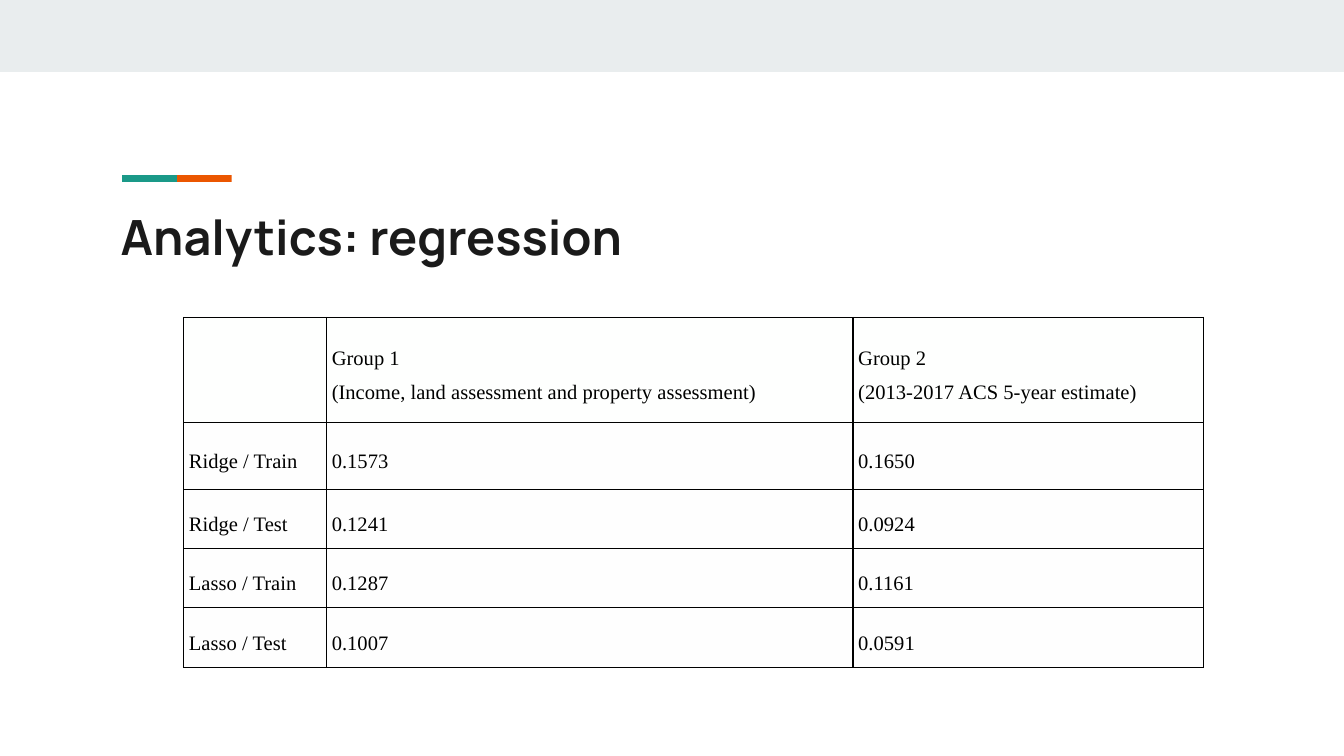
from lxml import etree
from pptx import Presentation
from pptx.dml.color import RGBColor
from pptx.enum.shapes import MSO_SHAPE
from pptx.enum.text import MSO_ANCHOR, MSO_AUTO_SIZE, PP_ALIGN
from pptx.oxml.ns import qn
from pptx.util import Cm, Pt

RECT = MSO_SHAPE.RECTANGLE
TOP, MIDDLE = MSO_ANCHOR.TOP, MSO_ANCHOR.MIDDLE
LEFT, JUSTIFY = PP_ALIGN.LEFT, PP_ALIGN.JUSTIFY
NO_FIT = MSO_AUTO_SIZE.NONE

COLORS = {
    "band": "E9EDEE",
    "teal": "1A9988",
    "orange": "EB5600",
    "title": "1A1A1A",
    "text": "000000",
    "head": "FEFFFE",
    "body": "FEFEFE",
}
COLS = [2.7, 9.95, 6.63]
ROWS = [1.98, 1.27, 1.12, 1.12, 1.12]
SCORES = [
    ["", "Group 1\n(Income, land assessment and property assessment)",
     "Group 2\n(2013-2017 ACS 5-year estimate)"],
    ["Ridge / Train", "0.1573", "0.1650"],
    ["Ridge / Test", "0.1241", "0.0924"],
    ["Lasso / Train", "0.1287", "0.1161"],
    ["Lasso / Test", "0.1007", "0.0591"],
]


def rgb(name):
    return RGBColor.from_string(COLORS[name])


def add_bar(shapes, left, top, width, height, color):
    bar = shapes.add_shape(RECT, Cm(left), Cm(top), Cm(width), Cm(height))
    bar.shadow.inherit = False
    bar.fill.solid()
    bar.fill.fore_color.rgb = rgb(color)
    bar.line.fill.background()
    return bar


def add_accent(slide, left, top):
    group = slide.shapes.add_group_shape()
    thick, long = 0.07, 1.48
    for index, color in ((1, "orange"), (0, "teal")):
        mid = left + long * (index + 0.5)
        bar = add_bar(group.shapes, mid - thick / 2, top + (thick - long) / 2,
                      thick, long, color)
        bar.rotation = 270
    # The group squeezes its bars in length and widens them
    group.left, group.top = Cm(left), Cm(top)
    group.width, group.height = Cm(2.07), Cm(0.13)
    frame = group._element.grpSpPr.find(qn("a:xfrm"))
    start, size = frame.find(qn("a:chOff")), frame.find(qn("a:chExt"))
    start.set("x", str(Cm(left)))
    start.set("y", str(Cm(top)))
    size.set("cx", str(Cm(2 * long)))
    size.set("cy", str(Cm(thick)))


def add_run(para, text, font, size, color, bold=False):
    run = para.add_run()
    run.text = text
    run.font.name = font
    run.font.size = Pt(size)
    run.font.bold = bold
    run.font.color.rgb = rgb(color)


def set_title(slide, text):
    title = slide.shapes.title
    title.left, title.top = Cm(2.03), Cm(3.66)
    title.width, title.height = Cm(21.36), Cm(1.5)
    frame = title.text_frame
    frame.auto_size = NO_FIT
    frame.vertical_anchor = TOP
    frame.margin_left = frame.margin_right = Cm(0.25)
    frame.margin_top = frame.margin_bottom = Cm(0.25)
    para = frame.paragraphs[0]
    para.alignment = LEFT
    add_run(para, text, "Manrope", 26, "title", True)


def set_border(cell):
    props = cell._tc.get_or_add_tcPr()
    for place, side in enumerate(("lnL", "lnR", "lnT", "lnB")):
        line = etree.Element(qn("a:" + side), w=str(Pt(0.75)))
        fill = etree.SubElement(line, qn("a:solidFill"))
        etree.SubElement(fill, qn("a:srgbClr"), val=COLORS["text"])
        props.insert(place, line)


def fill_cell(cell, text, color):
    cell.fill.solid()
    cell.fill.fore_color.rgb = rgb(color)
    set_border(cell)
    cell.vertical_anchor = MIDDLE
    cell.margin_left = cell.margin_right = Cm(0.1)
    cell.margin_top = cell.margin_bottom = Cm(0.1)
    if not text:
        return
    frame = cell.text_frame
    for index, part in enumerate(text.split("\n")):
        para = frame.add_paragraph() if index else frame.paragraphs[0]
        para.alignment = JUSTIFY
        para.line_spacing = 1.5
        add_run(para, part, "Times New Roman", 11, "text")


def add_scores(slide):
    frame = slide.shapes.add_table(len(ROWS), len(COLS), Cm(3.47), Cm(6),
                                   Cm(sum(COLS)), Cm(sum(ROWS)))
    table = frame.table
    for col, width in zip(table.columns, COLS):
        col.width = Cm(width)
    for index, (row, height) in enumerate(zip(table.rows, ROWS)):
        row.height = Cm(height)
        for cell, text in zip(row.cells, SCORES[index]):
            fill_cell(cell, text, "body" if index else "head")


def main():
    deck = Presentation()
    deck.slide_width, deck.slide_height = Cm(25.4), Cm(14.29)
    slide = deck.slides.add_slide(deck.slide_layouts[5])

    # Top band and two-colour accent
    add_bar(slide.shapes, 0, 0, 25.4, 1.36, "band")
    add_accent(slide, 2.31, 3.31)

    # Title and score table
    set_title(slide, "Analytics: regression")
    add_scores(slide)

    deck.save("out.pptx")


if __name__ == "__main__":
    main()
